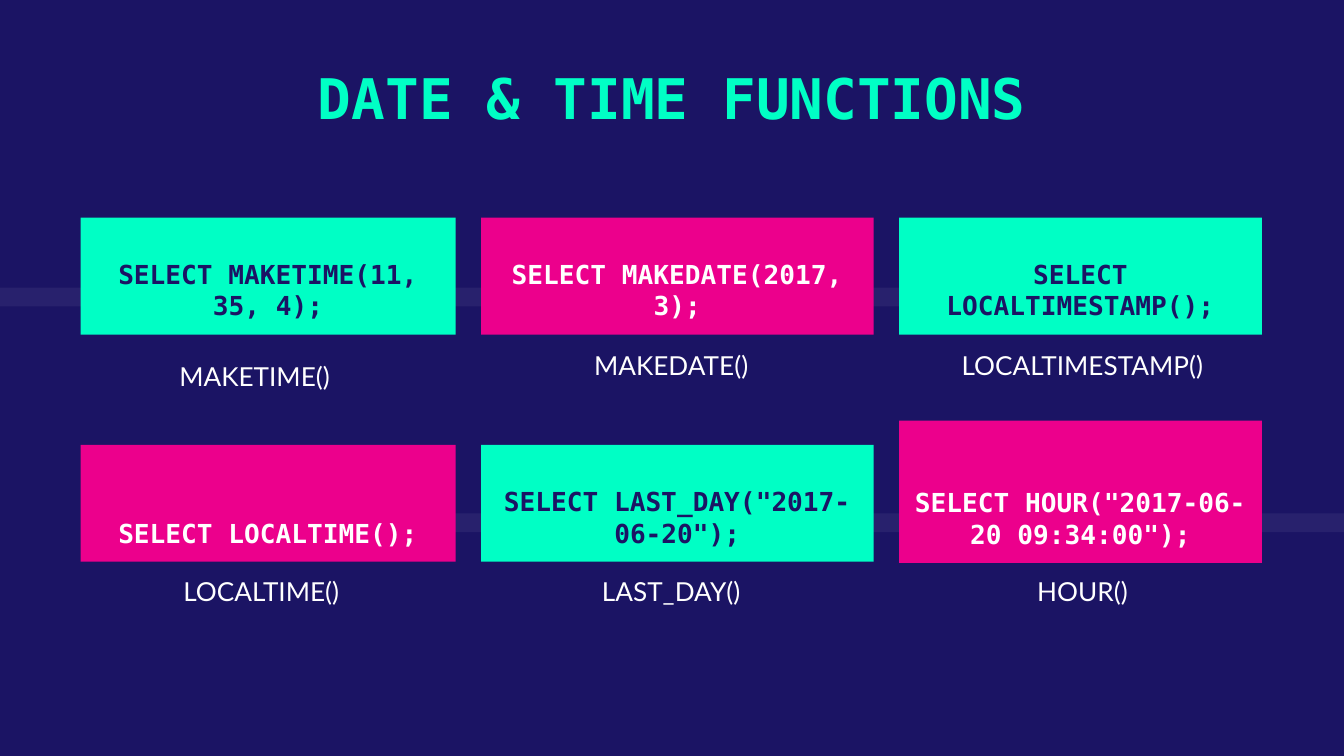
from dataclasses import dataclass

from lxml import etree
from pptx import Presentation
from pptx import util as u
from pptx.dml.color import RGBColor
from pptx.enum import shapes, text
from pptx.oxml import ns


@dataclass(frozen=True)
class Theme:
    navy: str = "1B1464"
    mint: str = "00FFC5"
    pink: str = "EC008C"
    white: str = "FFFFFF"
    code_font: str = "DejaVu Sans Mono"
    caption_font: str = "Lato"
    title_size: int = 30
    body_size: int = 14
    band_opacity: int = 6


THEME = Theme()
SLIDE_WIDTH = 10
SLIDE_HEIGHT = SLIDE_WIDTH * 9 / 16
COLUMNS = [(0.6, 2.79, 0.91), (3.58, 2.92, 3.96), (6.69, 2.7, 7.02)]
CARD_HEIGHT = 0.87
CAPTION_WIDTH, CAPTION_HEIGHT = 2.07, 0.73
ROWS = [
    (1.62, 2.5, [
        ("SELECT MAKETIME(11, 35, 4);", "MAKETIME()", THEME.mint),
        ("SELECT MAKEDATE(2017, 3);", "MAKEDATE()", THEME.pink),
        ("SELECT LOCALTIMESTAMP();", "LOCALTIMESTAMP()", THEME.mint),
    ]),
    (3.31, 4.18, [
        ("SELECT LOCALTIME();", "LOCALTIME()", THEME.pink),
        ('SELECT LAST_DAY("2017-06-20");', "LAST_DAY()", THEME.mint),
        ('SELECT HOUR("2017-06-20 09:34:00");', "HOUR()", THEME.pink),
    ]),
]
CARD_SPANS = {"HOUR()": (3.13, 1.06)}
CAPTION_BOXES = {"MAKETIME()": (1.02, 2.58, 1.75, CAPTION_HEIGHT)}


def inches(box):
    return [u.Inches(length) for length in box]


def write(holder, words, font, size, color, bold=False, anchor=text.MSO_ANCHOR.TOP):
    frame = holder.text_frame
    frame.text = words
    frame.word_wrap = True
    frame.vertical_anchor = anchor
    frame.margin_left = frame.margin_right = u.Inches(0.1)
    frame.margin_top = frame.margin_bottom = u.Inches(0.1)
    line = frame.paragraphs[0]
    line.alignment = text.PP_ALIGN.CENTER
    run_font = line.runs[0].font
    run_font.name = font
    run_font.size = u.Pt(size)
    run_font.bold = bold
    run_font.color.rgb = RGBColor.from_string(color)


def add_block(slide, box, color):
    block = slide.shapes.add_shape(shapes.MSO_SHAPE.RECTANGLE, *inches(box))
    block.shadow.inherit = False
    block.fill.solid()
    block.fill.fore_color.rgb = RGBColor.from_string(color)
    block.line.fill.background()
    return block


def add_band(slide, box):
    band = add_block(slide, box, THEME.white)
    tint = band.element.spPr.find(".//" + ns.qn("a:srgbClr"))
    alpha = etree.SubElement(tint, ns.qn("a:alpha"))
    alpha.set("val", str(THEME.band_opacity * 1000))


def add_title(slide, box):
    title = slide.shapes.add_textbox(*inches(box))
    write(title, "DATE & TIME FUNCTIONS", THEME.code_font, THEME.title_size,
          THEME.mint, bold=True)


def add_caption(slide, box, name):
    caption = slide.shapes.add_textbox(*inches(box))
    write(caption, name, THEME.caption_font, THEME.body_size, THEME.white)


def add_card(slide, box, query, color):
    card = add_block(slide, box, color)
    ink = THEME.navy if color == THEME.mint else THEME.white
    write(card, query, THEME.code_font, THEME.body_size, ink, bold=True,
          anchor=text.MSO_ANCHOR.BOTTOM)


def add_row(slide, card_top, caption_top, functions):
    for (left, width, caption_left), (query, name, color) in zip(COLUMNS, functions):
        top, height = CARD_SPANS.get(name, (card_top, CARD_HEIGHT))
        caption_box = CAPTION_BOXES.get(
            name, (caption_left, caption_top, CAPTION_WIDTH, CAPTION_HEIGHT))
        add_caption(slide, caption_box, name)
        add_card(slide, (left, top, width, height), query, color)


def main():
    deck = Presentation()
    deck.slide_width, deck.slide_height = inches((SLIDE_WIDTH, SLIDE_HEIGHT))
    slide = deck.slides.add_slide(deck.slide_layouts[6])
    slide.background.fill.solid()
    slide.background.fill.fore_color.rgb = RGBColor.from_string(THEME.navy)
    add_band(slide, (0, 2.14, 8.52, 0.14))
    add_band(slide, (1.02, 3.82, 8.98, 0.14))
    add_title(slide, (1.4, 0.37, 7.2, 0.73))
    for card_top, caption_top, functions in ROWS:
        add_row(slide, card_top, caption_top, functions)
    deck.save("out.pptx")


if __name__ == "__main__":
    main()
